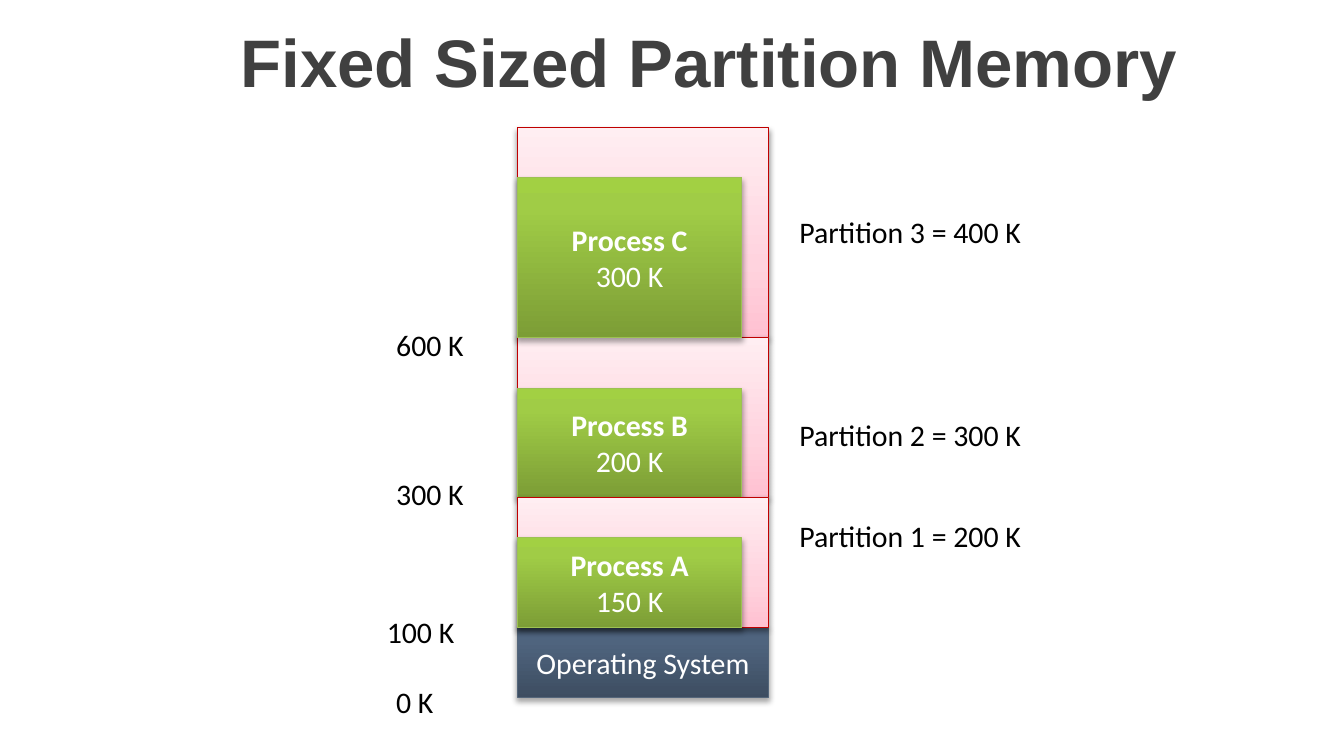
import pptx
import pptx.util
import pptx.dml.color
import pptx.enum.shapes
import pptx.enum.text
import pptx.oxml.ns
from lxml import etree

Inches = pptx.util.Inches
Pt = pptx.util.Pt
PP_ALIGN = pptx.enum.text.PP_ALIGN
MSO_ANCHOR = pptx.enum.text.MSO_ANCHOR
qn = pptx.oxml.ns.qn

COLORS = {
    "title": "404040", "label": "000000", "light": "FFFFFF",
    "partition line": "C00000", "process line": "9DC153", "system line": "54667A",
}
# Gradient stops run from the bottom edge to the top edge
GRADIENTS = {
    "partition": [(0, "FFC1D1"), (35, "FFD3DE"), (100, "FFEEF2")],
    "process": [(0, "7C9D36"), (80, "A0CC46"), (100, "A2D043")],
    "system": [(0, "3D4D61"), (80, "4F647E"), (100, "4E657F")],
}
# Opacity in percent and distance in points
SHADOWS = {"partition": (38, 1.6), "process": (35, 1.8), "system": (35, 1.8)}


def write_text(paragraph, text, size=16, font="Calibri", color="label",
               bold=False, align=PP_ALIGN.LEFT, space_before=0):
    paragraph.alignment = align
    paragraph.space_before = Pt(space_before)
    run = paragraph.add_run()
    run.text = text
    run.font.size = Pt(size)
    run.font.name = font
    run.font.bold = bold
    run.font.color.rgb = pptx.dml.color.RGBColor.from_string(COLORS[color])


def add_color(parent, value):
    return etree.SubElement(parent, qn("a:srgbClr"), val=value)


class MemorySlide:
    def __init__(self, presentation):
        self.slide = presentation.slides.add_slide(presentation.slide_layouts[5])

    def title(self, text, left, top, width, height):
        shape = self.slide.shapes.title
        shape.left, shape.top = Inches(left), Inches(top)
        shape.width, shape.height = Inches(width), Inches(height)
        shape.text_frame.vertical_anchor = MSO_ANCHOR.MIDDLE
        write_text(shape.text_frame.paragraphs[0], text, size=36, font="Arial",
                   color="title", bold=True)

    def block(self, kind, left, top, width, height, lines=()):
        """Draw a shaded rectangle; lines holds (text, bold) pairs."""
        shape = self.slide.shapes.add_shape(
            pptx.enum.shapes.MSO_SHAPE.RECTANGLE,
            Inches(left), Inches(top), Inches(width), Inches(height))
        shape.fill.gradient()
        shape.fill.gradient_angle = 90
        properties = shape._element.spPr
        stops = properties.find(".//" + qn("a:gsLst"))
        for stop in list(stops):
            stops.remove(stop)
        for position, value in GRADIENTS[kind]:
            add_color(etree.SubElement(stops, qn("a:gs"), pos=str(position * 1000)), value)
        shape.line.color.rgb = pptx.dml.color.RGBColor.from_string(COLORS[kind + " line"])
        shape.line.width = Pt(0.75)

        # Soft shadow below the block
        shape.shadow.inherit = False
        opacity, distance = SHADOWS[kind]
        shadow = etree.SubElement(
            properties.find(qn("a:effectLst")), qn("a:outerShdw"),
            blurRad=str(Pt(3.1)), dist=str(Pt(distance)), dir="5400000", rotWithShape="0")
        etree.SubElement(add_color(shadow, "000000"), qn("a:alpha"), val=str(opacity * 1000))

        frame = shape.text_frame
        frame.word_wrap = False
        frame.vertical_anchor = MSO_ANCHOR.MIDDLE
        for index, (text, bold) in enumerate(lines):
            paragraph = frame.add_paragraph() if index else frame.paragraphs[0]
            write_text(paragraph, text, color="light", bold=bold, align=PP_ALIGN.CENTER)

    def labels(self, left, top, width, height, lines):
        """Add a text box; lines holds (text, space before) pairs."""
        frame = self.slide.shapes.add_textbox(
            Inches(left), Inches(top), Inches(width), Inches(height)).text_frame
        frame.word_wrap = True
        for index, (text, space) in enumerate(lines):
            paragraph = frame.add_paragraph() if index else frame.paragraphs[0]
            write_text(paragraph, text, space_before=space)


def main():
    presentation = pptx.Presentation()
    # Widescreen, 16:9
    presentation.slide_width = Inches(10)
    presentation.slide_height = Inches(10 * 9 / 16)
    memory = MemorySlide(presentation)
    memory.title("Fixed Sized Partition Memory", 1.69, 0.03, 8.31, 0.85)

    # Memory column: partitions with the processes loaded at their lower ends
    left, width, process_width = 3.85, 1.87, 1.67

    def partition(top, bottom):
        memory.block("partition", left, top, width, bottom - top)

    def process(name, size, top, bottom):
        memory.block("process", left, top, process_width, bottom - top,
                     [(f"Process {name}", True), (f"{size} K", False)])

    partition(0.95, 2.51)
    partition(2.51, 3.7)
    process("B", 200, 2.89, 3.7)
    memory.block("system", left, 4.67, width, 0.52, [("Operating System", False)])
    partition(3.7, 4.67)
    process("A", 150, 4, 4.67)
    process("C", 300, 1.32, 2.51)

    # Start addresses, from bottom to top of each label's partition
    for address, label_left, top in [(300, 2.85, 3.49), (0, 2.85, 5.04),
                                     (100, 2.78, 4.52), (600, 2.85, 2.38)]:
        memory.labels(label_left, top, 1, 0.37, [(f"{address} K", 0)])

    # Partition sizes
    memory.labels(5.85, 1.54, 2.54, 2.79, [
        ("Partition 3 = 400 K", 0),
        ("Partition 2 = 300 K", 89.5),
        ("Partition 1 = 200 K", 35),
    ])
    presentation.save("out.pptx")


if __name__ == "__main__":
    main()
